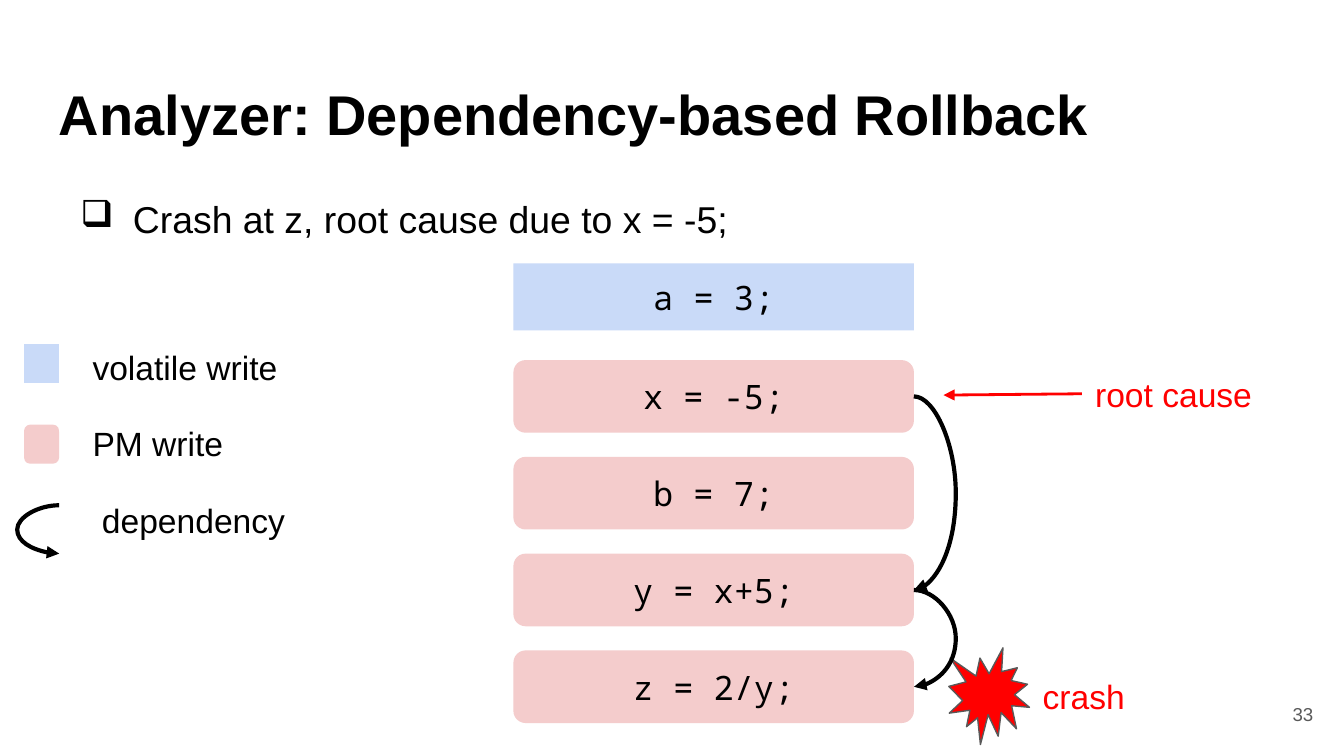
import pptx
import pptx.util
import pptx.dml.color
import pptx.enum.shapes
import pptx.enum.text
import pptx.oxml
import pptx.oxml.ns

WIDTH, HEIGHT = pptx.util.Inches(10), pptx.util.Inches(5.625)
CELL = WIDTH / 100
COLORS = {"ink": "000000", "volatile": "C9DAF8", "pm": "F4CCCC",
          "alert": "FF0000", "gray": "595959"}
SHAPE = pptx.enum.shapes.MSO_SHAPE
LINE = pptx.enum.shapes.MSO_CONNECTOR
ALIGN = pptx.enum.text.PP_ALIGN
ANCHOR = pptx.enum.text.MSO_ANCHOR
CODE_X, CODE_Y, CODE_W, CODE_H, PITCH = 38.2, 19.6, 29.8, 5.4, 7.2
BULGE, CURVE_W = 2.6, 600


def grid(*cells):
    return [pptx.util.Emu(round(c * CELL)) for c in cells]


def rgb(name):
    return pptx.dml.color.RGBColor.from_string(COLORS[name])


def set_all(obj, values):
    for name, value in values.items():
        setattr(obj, name, value)


def add_xml(parent, tag, **attrs):
    e = pptx.oxml.ns.qn("a:" + tag)
    child = parent.makeelement(e, attrs)
    parent.append(child)
    return child


def write(s, text, color="ink", align=ALIGN.LEFT, anchor=ANCHOR.TOP, **font):
    tf = s.text_frame
    margin = pptx.util.Inches(0.1)
    set_all(tf, {"word_wrap": True, "vertical_anchor": anchor,
                 "margin_left": margin, "margin_right": margin,
                 "margin_top": margin, "margin_bottom": margin})
    p = tf.paragraphs[0]
    p.alignment = align
    r = p.add_run()
    r.text = text
    set_all(r.font, {"name": "Arial", "size": pptx.util.Pt(18), **font})
    r.font.color.rgb = rgb(color)
    return p


def add_text(sp, box, text, **style):
    return write(sp.add_textbox(*grid(*box)), text, **style)


def add_bullet(p, char):
    pPr = p._p.get_or_add_pPr()
    set_all(p, {"line_spacing": 1.15})
    for name, inches in {"marL": 0.5, "indent": -0.39}.items():
        pPr.set(name, str(pptx.util.Inches(inches)))
    add_xml(add_xml(pPr, "buClr"), "srgbClr", val=COLORS["ink"])
    add_xml(pPr, "buChar", char=char)


def add_block(sp, kind, box, fill, outline=None):
    s = sp.add_shape(kind, *grid(*box))
    s.shadow.inherit = False
    s.fill.solid()
    s.fill.fore_color.rgb = rgb(fill)
    if outline:
        s.line.color.rgb = rgb(outline)
        s.line.width = pptx.util.Pt(0.75)
    else:
        s.line.fill.background()
    return s


def add_arrow(sp, kind, ends, color, width):
    s = sp.add_connector(kind, *ends)
    s.line.color.rgb = rgb(color)
    s.line.width = pptx.util.Pt(width)
    add_xml(s.line._get_or_add_ln(), "tailEnd", type="triangle")
    add_xml(s._element.spPr, "effectLst")
    return s


def add_dependency(sp, x, top, bottom, bulge):
    x, top, bottom = grid(x, top, bottom)
    s = add_arrow(sp, LINE.CURVE, (x, top, x + CURVE_W, bottom), "ink", 2.25)
    geom = s._element.spPr.find(pptx.oxml.ns.qn("a:prstGeom"))
    guides = geom.find(pptx.oxml.ns.qn("a:avLst"))
    if guides is None:
        guides = add_xml(geom, "avLst")
    share = round(bulge * CELL / CURVE_W * 100000)
    add_xml(guides, "gd", name="adj1", fmla=f"val {share}")


def add_statements(sp):
    codes = ["a = 3;", "x = -5;", "b = 7;", "y = x+5;", "z = 2/y;"]
    for i, code in enumerate(codes):
        kind, fill, h = ((SHAPE.ROUNDED_RECTANGLE, "pm", CODE_H) if i
                         else (SHAPE.RECTANGLE, "volatile", 5))
        s = add_block(sp, kind, (CODE_X, CODE_Y + i * PITCH, CODE_W, h), fill)
        write(s, code, align=ALIGN.CENTER, anchor=ANCHOR.MIDDLE,
              name="Noto Sans Mono")
    for start, end in [(1, 3), (3, 4)]:
        top, bottom = [CODE_Y + i * PITCH + CODE_H / 2 for i in (start, end)]
        add_dependency(sp, CODE_X + CODE_W, top, bottom, BULGE)


def add_legend(sp):
    add_block(sp, SHAPE.RECTANGLE, (1.8, 25.6, 2.6, 2.9), "volatile")
    add_block(sp, SHAPE.ROUNDED_RECTANGLE, (1.8, 31.6, 2.6, 2.9), "pm")
    add_dependency(sp, 4.4, 37.6, 41.2, -BULGE)
    labels = [(5.9, "volatile write"), (5.9, "PM write"), (6.6, "dependency")]
    for i, (x, label) in enumerate(labels):
        add_text(sp, (x, 24.8 + i * 5.7, 20.9, 5), label)


def add_failure(sp):
    add_arrow(sp, LINE.STRAIGHT, grid(80.5, 29.3, 70.2, 29.4), "alert", 1.5)
    add_block(sp, SHAPE.EXPLOSION1, (70.6, 48.2, 6, 7.2), "alert", "gray")
    add_text(sp, (76.6, 49.3, 16.5, 5), "crash", color="alert")
    add_text(sp, (80.5, 26.8, 16.5, 5), "root cause", color="alert")


def main():
    prs = pptx.Presentation()
    set_all(prs, {"slide_width": WIDTH, "slide_height": HEIGHT})
    sp = prs.slides.add_slide(prs.slide_layouts[6]).shapes
    add_text(sp, (3.4, 4.9, 93.2, 6.3), "Analyzer: Dependency-based Rollback",
             size=pptx.util.Pt(30), bold=True)
    p = add_text(sp, (3.9, 13.1, 93.2, 11.8),
                 "Crash at z, root cause due to x = -5;",
                 size=pptx.util.Pt(20))
    add_bullet(p, "❑")
    add_text(sp, (92.7, 51, 6, 4.3), "33", color="gray", align=ALIGN.RIGHT,
             anchor=ANCHOR.MIDDLE, size=pptx.util.Pt(10))
    add_legend(sp)
    add_failure(sp)
    add_statements(sp)
    prs.save("out.pptx")


if __name__ == "__main__":
    main()
